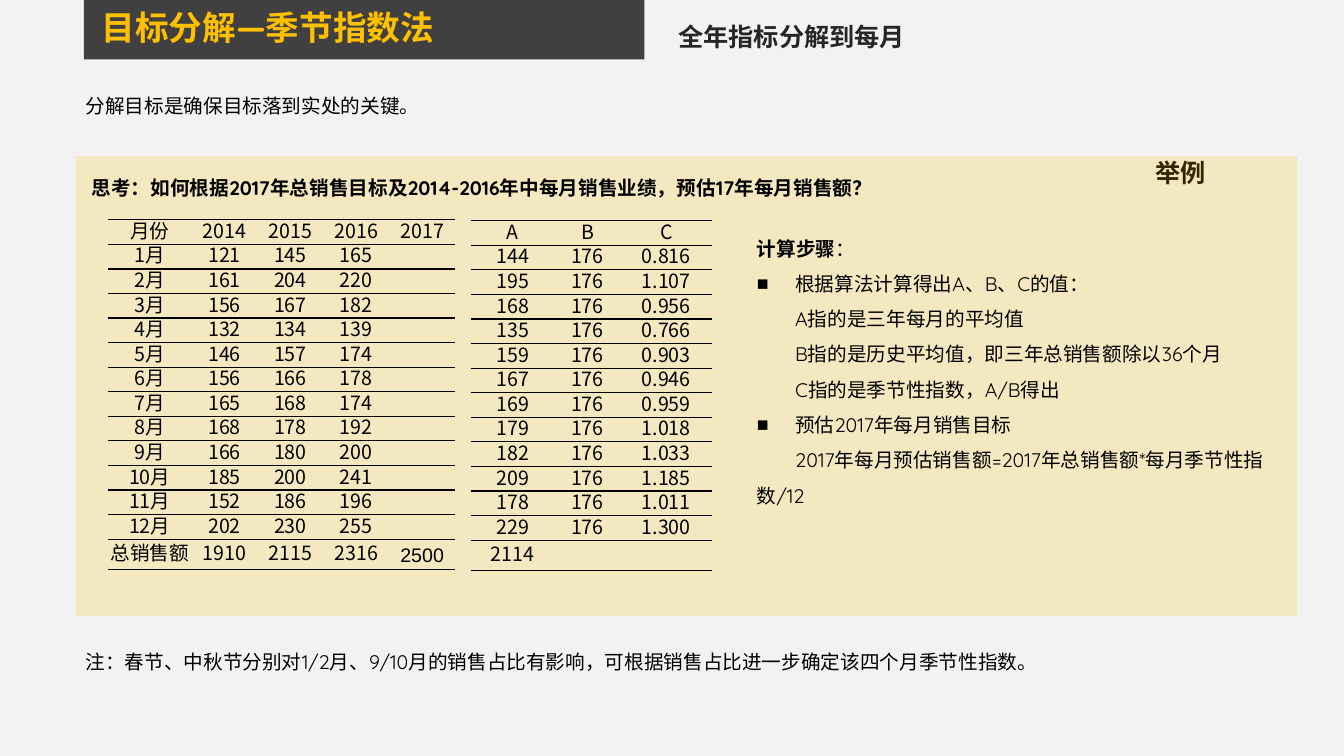
from lxml.etree import SubElement
from pptx import Presentation
from pptx.dml.color import RGBColor
from pptx.enum.shapes import MSO_SHAPE as Preset
from pptx.enum.text import MSO_ANCHOR as Anchor, PP_ALIGN as Align
from pptx.oxml.ns import qn
from pptx.util import Inches, Pt

WIDTH, HEIGHT = Inches(13.33), Inches(7.5)

PAPER = RGBColor(0xF2, 0xF2, 0xF2)
CHARCOAL = RGBColor(0x40, 0x40, 0x40)
AMBER = RGBColor(0xFF, 0xC0, 0x00)
INK = RGBColor(0x26, 0x26, 0x26)
BLACK = RGBColor(0, 0, 0)

TEXT_FONT, TABLE_FONT = "Quicksand", "Noto Sans CJK SC"
NO_STYLE = "{2D5ABB26-0587-4C30-8999-92F81FD0307C}"
INDENT = Inches(0.38)

BODY = {"name": TEXT_FONT, "size": Pt(14), "bold": False}
STRONG = {**BODY, "bold": True}
HEADING = {**STRONG, "size": Pt(18)}
TITLE = {**STRONG, "size": Pt(24)}
CELL = {**BODY, "name": TABLE_FONT}

# Monthly sales of 2014 to 2016, then the values A, B and C
SALES = [["月份", "2014", "2015", "2016", "2017"]] + [
    [f"{month}月", *figures, ""] for month, figures in enumerate([
        ("121", "145", "165"), ("161", "204", "220"), ("156", "167", "182"),
        ("132", "134", "139"), ("146", "157", "174"), ("156", "166", "178"),
        ("165", "168", "174"), ("168", "178", "192"), ("166", "180", "200"),
        ("185", "200", "241"), ("152", "186", "196"), ("202", "230", "255"),
    ], start=1)
] + [["总销售额", "1910", "2115", "2316", "2500"]]

INDEXES = [["A", "B", "C"]] + [[average, "176", index] for average, index in [
    ("144", "0.816"), ("195", "1.107"), ("168", "0.956"), ("135", "0.766"),
    ("159", "0.903"), ("167", "0.946"), ("169", "0.959"), ("179", "1.018"),
    ("182", "1.033"), ("209", "1.185"), ("178", "1.011"), ("229", "1.300"),
]] + [["2114", "", ""]]

# Each step: text, left margin, first-line indent, bullet
STEPS = [
    ("根据算法计算得出A、B、C的值：", INDENT, -INDENT, "■"),
    ("A指的是三年每月的平均值", INDENT, 0, None),
    ("B指的是历史平均值，即三年总销售额除以36个月", INDENT, 0, None),
    ("C指的是季节性指数，A/B得出", INDENT, 0, None),
    ("预估2017年每月销售目标", INDENT, -INDENT, "■"),
    ("2017年每月预估销售额=2017年总销售额*每月季节性指数/12", 0, INDENT, None),
]


def across(percent):
    return round(WIDTH * percent / 100)


def down(percent):
    return round(HEIGHT * percent / 100)


def area(left, top, width, height):
    """Turn percentages of the slide into a frame."""
    return across(left), down(top), across(width), down(height)


def add_run(paragraph, text, style, color=BLACK):
    run = paragraph.add_run()
    run.text = text
    for name, value in style.items():
        setattr(run.font, name, value)
    run.font.color.rgb = color
    SubElement(run.font._element, qn("a:ea")).set("typeface", style["name"])


def set_indent(paragraph, margin, indent, bullet=None):
    properties = paragraph._p.get_or_add_pPr()
    properties.set("marL", str(margin))
    properties.set("indent", str(indent))
    if bullet:
        SubElement(properties, qn("a:buFont")).set("typeface", "Arial")
        SubElement(properties, qn("a:buChar")).set("char", bullet)


def add_text(slide, frame, text, style, color=BLACK, spacing=None):
    text_frame = slide.shapes.add_textbox(*frame).text_frame
    text_frame.word_wrap = True
    paragraph = text_frame.paragraphs[0]
    add_run(paragraph, text, style, color)
    if spacing:
        paragraph.line_spacing = spacing
    return text_frame


def add_block(slide, frame, color, opacity=None):
    shape = slide.shapes.add_shape(Preset.RECTANGLE, *frame)
    shape.shadow.inherit = False
    shape.fill.solid()
    shape.fill.fore_color.rgb = color
    shape.line.fill.background()
    if opacity:
        tint = shape._element.spPr.find(".//" + qn("a:srgbClr"))
        SubElement(tint, qn("a:alpha")).set("val", str(opacity * 1000))


def rule_cell(cell):
    """Draw black rules above and below a cell."""
    properties = cell._tc.get_or_add_tcPr()
    for side in ("a:lnT", "a:lnB"):
        line = SubElement(properties, qn(side), w=str(Pt(1)))
        fill = SubElement(line, qn("a:solidFill"))
        SubElement(fill, qn("a:srgbClr")).set("val", str(BLACK))
    cell.fill.background()


def fill_cell(cell, text, style):
    rule_cell(cell)
    layout = {"margin_left": Inches(0.01), "margin_right": Inches(0.01),
              "margin_top": Inches(0.01), "margin_bottom": 0,
              "vertical_anchor": Anchor.MIDDLE}
    for name, value in layout.items():
        setattr(cell, name, value)
    paragraph = cell.text_frame.paragraphs[0]
    paragraph.alignment = Align.CENTER
    paragraph.line_spacing = Pt(16.5)
    if text:
        add_run(paragraph, text, style)
    else:
        # A small end mark keeps an empty cell from stretching its row
        SubElement(paragraph._p, qn("a:endParaRPr"), sz="1000")


def add_data_table(slide, left, top, column_shares, rows):
    row_shares = [3.25] * (len(rows) - 1) + [4]
    frame = area(left, top, sum(column_shares), sum(row_shares))
    table = slide.shapes.add_table(len(rows), len(column_shares), *frame).table
    table.first_row = table.horz_banding = False
    table._tbl.tblPr.find(qn("a:tableStyleId")).text = NO_STYLE
    for column, share in zip(table.columns, column_shares):
        column.width = across(share)
    for row, share, texts in zip(table.rows, row_shares, rows):
        row.height = down(share)
        for cell, text in zip(row.cells, texts):
            style = {**CELL, "name": "Arial"} if text == "2500" else CELL
            fill_cell(cell, text, style)


def add_steps(slide, frame):
    text_frame = add_text(slide, frame, "计算步骤", STRONG, spacing=1.5)
    add_run(text_frame.paragraphs[0], "：", BODY)
    for text, margin, indent, bullet in STEPS:
        paragraph = text_frame.add_paragraph()
        paragraph.line_spacing = 1.5
        set_indent(paragraph, margin, indent, bullet)
        add_run(paragraph, text, BODY)


def main():
    presentation = Presentation()
    presentation.slide_width, presentation.slide_height = WIDTH, HEIGHT
    slide = presentation.slides.add_slide(presentation.slide_layouts[6])
    slide.background.fill.solid()
    slide.background.fill.fore_color.rgb = PAPER

    # Title bar and introduction
    add_block(slide, area(6.25, 0, 41.7, 7.87), CHARCOAL)
    add_text(slide, area(6.83, 0.8, 28.13, 6.67), "目标分解—季节指数法",
             TITLE, AMBER, spacing=0.9)
    add_text(slide, area(49.73, 2.13, 19.4, 5.33), "全年指标分解到每月", HEADING, INK)
    add_text(slide, area(5.63, 11.73, 87.6, 4.53),
             "分解目标是确保目标落到实处的关键。", BODY)

    # Example panel, tinted over its label
    label = add_text(slide, area(82.2, 20.13, 10.3, 5.33), "举例", HEADING)
    set_indent(label.paragraphs[0], Inches(0.4), 0)
    add_block(slide, area(5.63, 20.67, 90.9, 60.8), AMBER, opacity=20)
    add_text(slide, area(6.08, 21.07, 64.65, 6),
             "思考：如何根据2017年总销售目标及2014-2016年中每月销售业绩，预估17年每月销售额？",
             STRONG, spacing=1.5)

    # Tables and calculation steps
    add_data_table(slide, 8.03, 29.07, [6.23] + [4.9] * 4, SALES)
    add_data_table(slide, 35.03, 29.2, [6.23, 4.9, 6.83], INDEXES)
    add_steps(slide, area(55.58, 29.07, 39.75, 39.07))

    # Closing note
    add_text(slide, area(5.63, 85.33, 87.6, 4.53),
             "注：春节、中秋节分别对1/2月、9/10月的销售占比有影响，可根据销售占比进一步确定该四个月季节性指数。",
             BODY)
    presentation.save("out.pptx")


if __name__ == "__main__":
    main()
